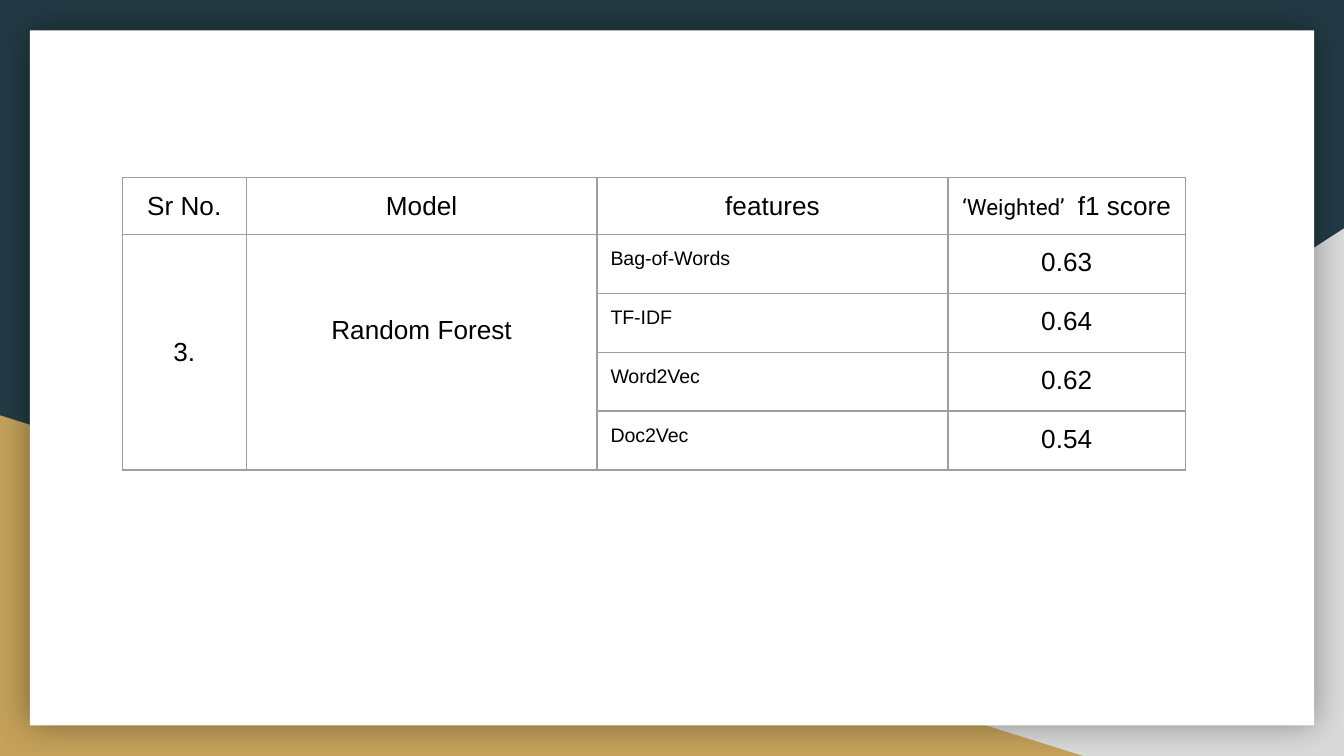
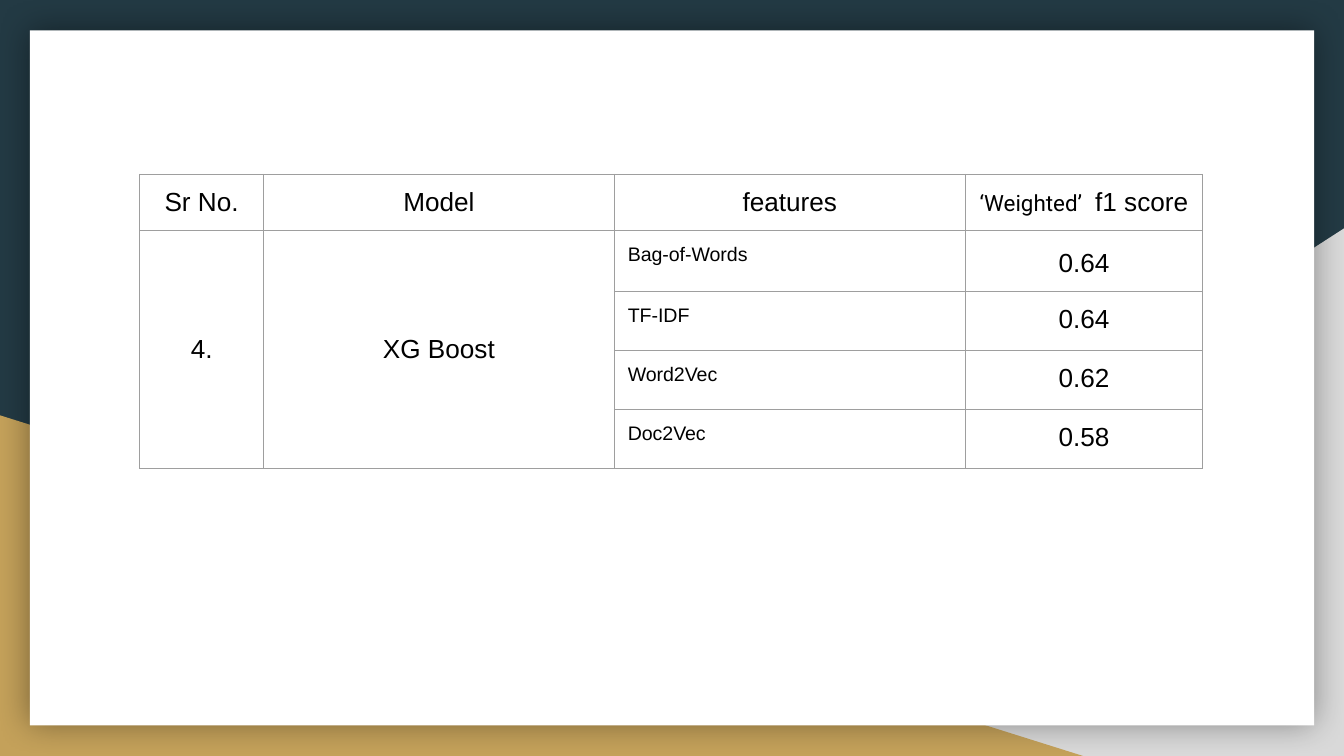
from lxml import etree
from pptx import Presentation
from pptx.dml.color import RGBColor
from pptx.enum.shapes import MSO_SHAPE
from pptx.enum.text import MSO_ANCHOR, PP_ALIGN
from pptx.oxml import parse_xml
from pptx.oxml.ns import qn
from pptx.util import Pt

RECT, WEDGE = MSO_SHAPE.RECTANGLE, MSO_SHAPE.RIGHT_TRIANGLE
LEFT, CENTER, MIDDLE = PP_ALIGN.LEFT, PP_ALIGN.CENTER, MSO_ANCHOR.MIDDLE
NAVY, GOLD, GREY, WHITE, BLACK, RULE = (
    "233A44", "C4A15A", "D9D9D9", "FFFFFF", "000000", "9E9E9E")
NS = "http://schemas.openxmlformats.org/drawingml/2006/main"


def color(code):
    return RGBColor.from_string(code)


def write(cell, runs, size=14, align=CENTER):
    """Fill one cell with (text, size, font) runs or a plain string."""
    cell.margin_left = cell.margin_right = Pt(7.2)
    cell.margin_top = cell.margin_bottom = Pt(7.2)
    para = cell.text_frame.paragraphs[0]
    para.alignment = align
    para.font.color.rgb = color(BLACK)
    if isinstance(runs, str):
        para.text = runs
        para.font.size, para.font.name = Pt(size), "Arial"
        for run in para.runs:
            run.font.size, run.font.name = Pt(size), "Arial"
            run.font.color.rgb = color(BLACK)
        return para
    for text, points, face in runs:
        run = para.add_run()
        run.text = text
        run.font.size, run.font.name = Pt(points), face
        run.font.color.rgb = color(BLACK)
    return para


# Shared page, backdrop and table layout
prs = Presentation()
prs.slide_width, prs.slide_height = Pt(720), Pt(405)
backdrop = [
    (WEDGE, 282.24, 122.4, 437.76, 282.6, GREY, True),
    (WEDGE, 0, 222.48, 580.32, 182.52, GOLD, False),
    (RECT, 16, 16.2, 688, 372.4, WHITE, False),
]
widths = [66.3, 188, 188, 127.2]
heights = [30.2] + [31.6] * 4
heads = ["Sr No.", "Model", "features",
         [("‘Weighted’ ", 12, "Roboto"), (" f1 score", 14, "Arial")]]
traits = ["Bag-of-Words", "TF-IDF", "Word2Vec", "Doc2Vec"]

# What differs: left, top, number, model, scores
pages = [
    (65.6, 95.3, "3.", "Random Forest", ["0.63", "0.64", "0.62", "0.54"]),
    (74.9, 93.5, "4.", "XG Boost", ["0.64", "0.64", "0.62", "0.58"]),
]

for left, top, number, model, scores in pages:
    slide = prs.slides.add_slide(prs.slide_layouts[6])
    slide.background.fill.solid()
    slide.background.fill.fore_color.rgb = color(NAVY)

    # Backdrop wedges and white card
    for kind, x, y, w, h, tint, flip in backdrop:
        shape = slide.shapes.add_shape(kind, Pt(x), Pt(y), Pt(w), Pt(h))
        shape.shadow.inherit = False
        shape.fill.solid()
        shape.fill.fore_color.rgb = color(tint)
        shape.line.fill.background()
        if flip:
            shape.element.spPr.get_or_add_xfrm().set("flipH", "1")

    # Soft glow round the card, the last shape drawn
    glow = parse_xml(
        f'<a:outerShdw xmlns:a="{NS}" blurRad="{Pt(18)}" dist="0" dir="0" '
        f'algn="ctr" rotWithShape="0"><a:srgbClr val="{BLACK}">'
        '<a:alpha val="40000"/></a:srgbClr></a:outerShdw>')
    shape.element.spPr.find(qn("a:effectLst")).append(glow)

    # Score table
    frame = slide.shapes.add_table(5, 4, Pt(left), Pt(top),
                                   Pt(sum(widths)), Pt(sum(heights)))
    table = frame.table
    table.first_row = table.horz_banding = False
    for col, width in zip(table.columns, widths):
        col.width = Pt(width)
    for row, height in zip(table.rows, heights):
        row.height = Pt(height)

    for col, head in enumerate(heads):
        write(table.cell(0, col), head)
    for col, text in enumerate([number, model]):
        cell = table.cell(1, col)
        cell.merge(table.cell(4, col))
        write(cell, text)
        cell.vertical_anchor = MIDDLE
    for row, (trait, score) in enumerate(zip(traits, scores), 1):
        write(table.cell(row, 2), trait, 10.5, LEFT)
        write(table.cell(row, 3), score)

    # Small differences in spacing between the two tables
    if model == "Random Forest":
        table.cell(1, 1).margin_bottom = Pt(31)
    else:
        table.cell(1, 3).text_frame.paragraphs[0].line_spacing = 1.15

    # Clear fills and thin grey rules
    for cell in table.iter_cells():
        cell.fill.background()
        props = cell._tc.get_or_add_tcPr()
        for spot, side in enumerate(["lnL", "lnR", "lnT", "lnB"]):
            line = etree.Element(qn("a:" + side), w=str(Pt(0.75)))
            fill = etree.SubElement(line, qn("a:solidFill"))
            etree.SubElement(fill, qn("a:srgbClr"), val=RULE)
            props.insert(spot, line)

prs.save("out.pptx")
